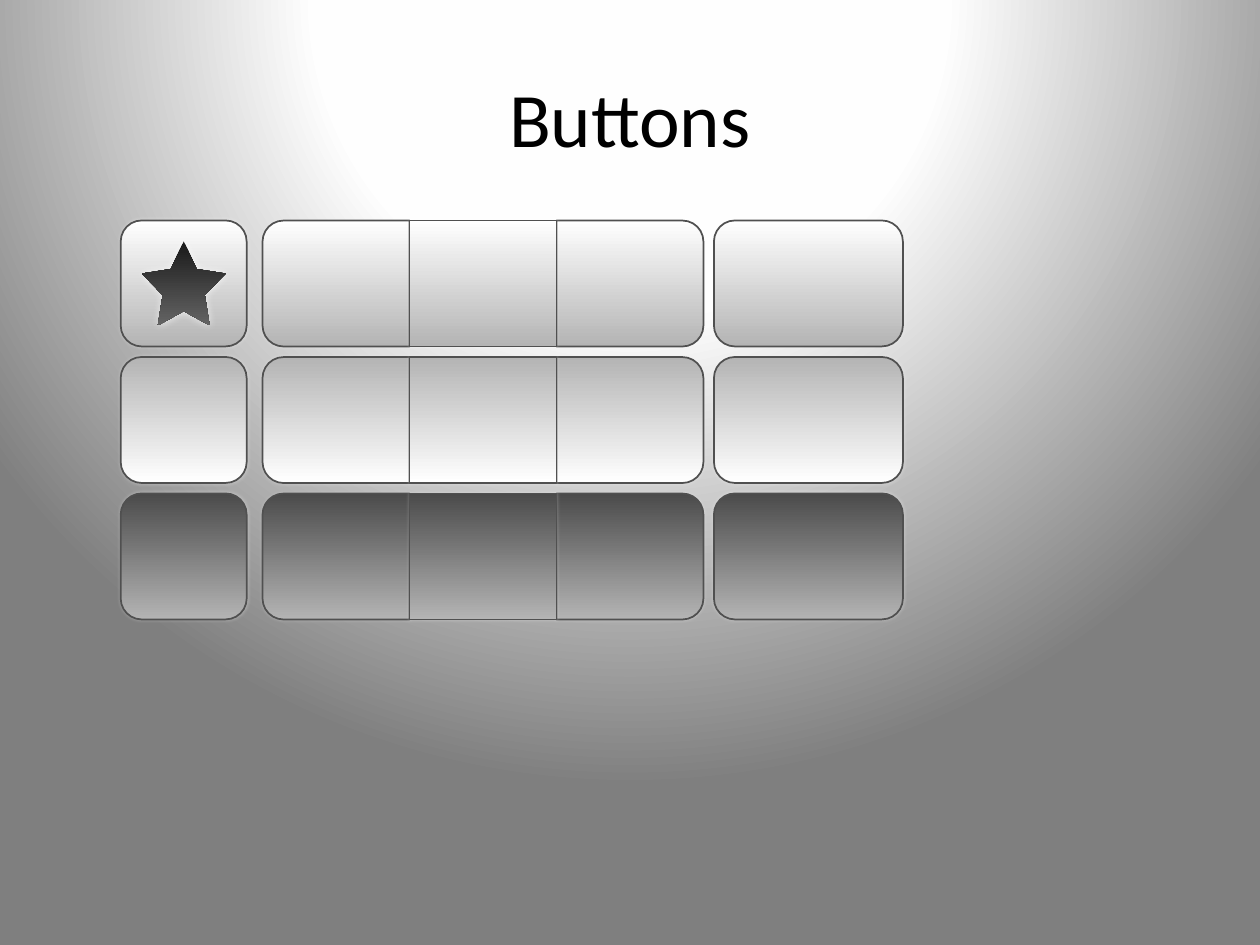
from copy import deepcopy
from dataclasses import dataclass

from pptx import Presentation
from pptx.dml.color import RGBColor
from pptx.enum.shapes import MSO_SHAPE
from pptx.enum.text import MSO_ANCHOR, PP_ALIGN
from pptx.oxml import parse_xml
from pptx.oxml.ns import nsdecls, qn
from pptx.util import Pt

ROUNDED = MSO_SHAPE.ROUNDED_RECTANGLE
ROUND_TOP = MSO_SHAPE.ROUND_2_SAME_RECTANGLE
SQUARE = MSO_SHAPE.RECTANGLE
STAR = MSO_SHAPE.STAR_5_POINT
CENTER = PP_ALIGN.CENTER
MIDDLE = MSO_ANCHOR.MIDDLE


@dataclass(frozen=True)
class Theme:
    font: str = "Calibri"
    title_size: int = 44
    title: str = "000000"
    outline: str = "505050"
    glow: str = "FFFFFF"
    star: tuple = ("191919", "646464")
    rows: tuple = (("FFFFFF", "B4B4B4"), ("B4B4B4", "FFFFFF"), ("4B4B4B", "B4B4B4"))
    backdrop: tuple = ((0, "FFFFFF"), (0.4, "FEFEFE"), (1, "7F7F7F"))


@dataclass(frozen=True)
class Button:
    """A button part by its visible left edge and width, in points."""
    kind: int
    left: float
    width: float
    rotation: int = 0
    flipped: bool = False


THEME = Theme()
ROW_TOP, ROW_STEP, HEIGHT = 126, 78, 72
BAR_LEFT, SEGMENT = 150, 84
STAR_SIZE = 48
BUTTONS = (
    Button(ROUNDED, 69, HEIGHT),
    Button(ROUND_TOP, BAR_LEFT, SEGMENT, rotation=270),
    Button(ROUND_TOP, BAR_LEFT + 2 * SEGMENT, SEGMENT, rotation=90, flipped=True),
    Button(SQUARE, BAR_LEFT + SEGMENT, SEGMENT),
    Button(ROUNDED, 408, 108),
)


def paint_gradient(shape, colors: tuple, angle: int) -> None:
    shape.fill.gradient()
    shape.fill.gradient_angle = angle
    for stop, color in zip(shape.fill.gradient_stops, colors):
        stop.color.rgb = RGBColor.from_string(color)


def add_glow(shape, opacity: int, blur: float) -> None:
    shape.shadow.inherit = False
    effects = shape._element.spPr.find(qn("a:effectLst"))
    effects.append(parse_xml(
        f'<a:outerShdw {nsdecls("a")} blurRad="{Pt(blur)}" dist="0" dir="5400000" '
        f'algn="t" rotWithShape="0"><a:srgbClr val="{THEME.glow}">'
        f'<a:alpha val="{opacity * 1000}"/></a:srgbClr></a:outerShdw>'))


def add_button(page, button: Button, top: float, colors: tuple) -> None:
    width, height = button.width, HEIGHT
    left = button.left
    if button.rotation:  # a quarter turn swaps the sides around the same centre
        shift = (width - height) / 2
        left, top = left + shift, top - shift
        width, height = height, width
    box = page.shapes.add_shape(button.kind, Pt(left), Pt(top), Pt(width), Pt(height))
    box.rotation = button.rotation
    if button.flipped:
        box._element.spPr.find(qn("a:xfrm")).set("flipH", "1")
    paint_gradient(box, colors, 180 if button.rotation else 270)
    box.line.color.rgb = RGBColor.from_string(THEME.outline)
    box.line.width = Pt(1)
    add_glow(box, 25, 2)


def add_star(page, left: float, top: float) -> None:
    star = page.shapes.add_shape(STAR, Pt(left), Pt(top), Pt(STAR_SIZE), Pt(STAR_SIZE))
    star.adjustments[0] = 0.251
    paint_gradient(star, THEME.star, 270)
    star.line.fill.background()
    add_glow(star, 75, 5)


def paint_backdrop(page) -> None:
    fill = page.background.fill
    fill.gradient()
    gradient = page._element.find(".//" + qn("a:gradFill"))
    stops = gradient.find(qn("a:gsLst"))
    stops.insert(1, deepcopy(stops[0]))
    for stop, (position, color) in zip(fill.gradient_stops, THEME.backdrop):
        stop.position = position
        stop.color.rgb = RGBColor.from_string(color)
    linear = gradient.find(qn("a:lin"))
    gradient.replace(linear, parse_xml(
        f'<a:path {nsdecls("a")} path="circle">'
        '<a:fillToRect l="50000" t="-80000" r="50000" b="180000"/></a:path>'))


def set_title(page, text: str) -> None:
    title = page.shapes.title
    title.left, title.top, title.width, title.height = Pt(36), Pt(21.6), Pt(648), Pt(90)
    title.text_frame.text = text
    title.text_frame.vertical_anchor = MIDDLE
    para = title.text_frame.paragraphs[0]
    para.alignment = CENTER
    font = para.runs[0].font
    font.name, font.size = THEME.font, Pt(THEME.title_size)
    font.color.rgb = RGBColor.from_string(THEME.title)


def main() -> None:
    deck = Presentation()
    deck.slide_width, deck.slide_height = Pt(720), Pt(540)
    page = deck.slides.add_slide(deck.slide_layouts[5])
    paint_backdrop(page)
    set_title(page, "Buttons")

    # One row of buttons for each state
    for row, colors in enumerate(THEME.rows):
        for button in BUTTONS:
            add_button(page, button, ROW_TOP + row * ROW_STEP, colors)

    # Star centred on the first button
    inset = (HEIGHT - STAR_SIZE) / 2
    add_star(page, BUTTONS[0].left + inset, ROW_TOP + inset)
    deck.save("out.pptx")


if __name__ == "__main__":
    main()
